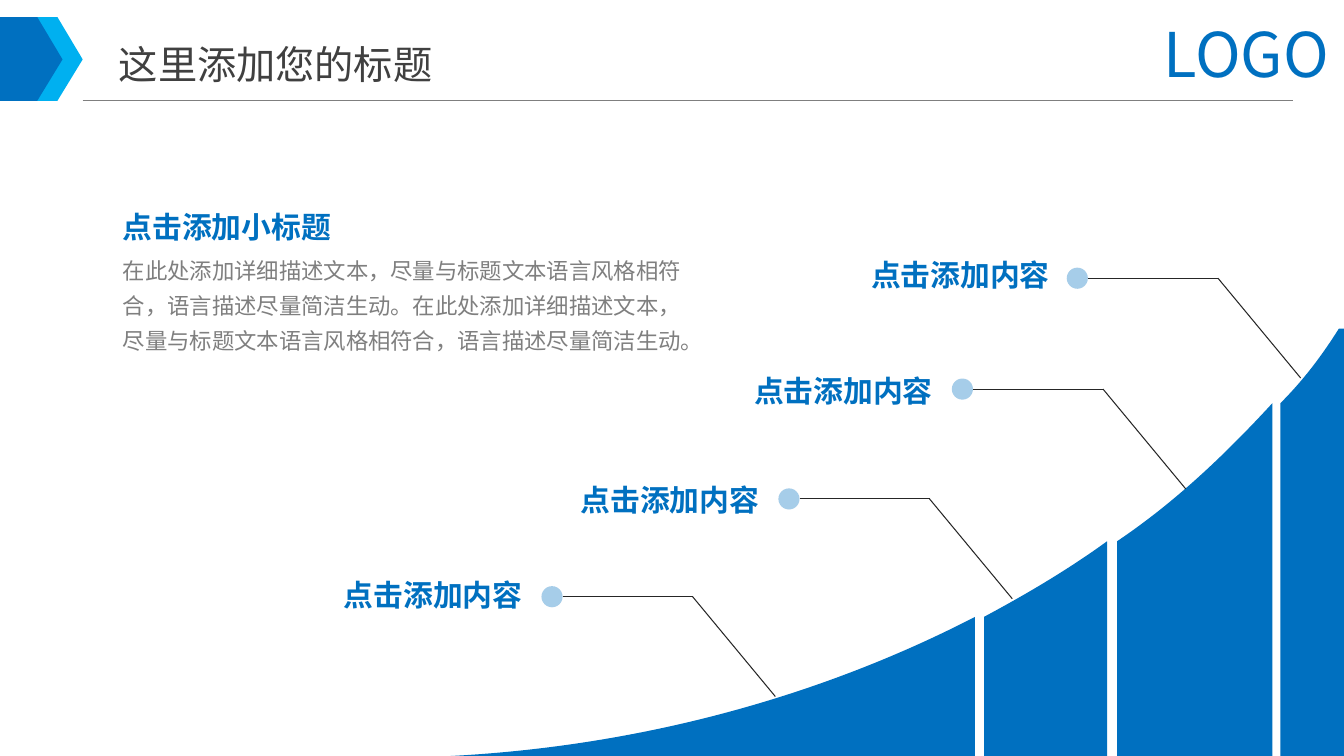
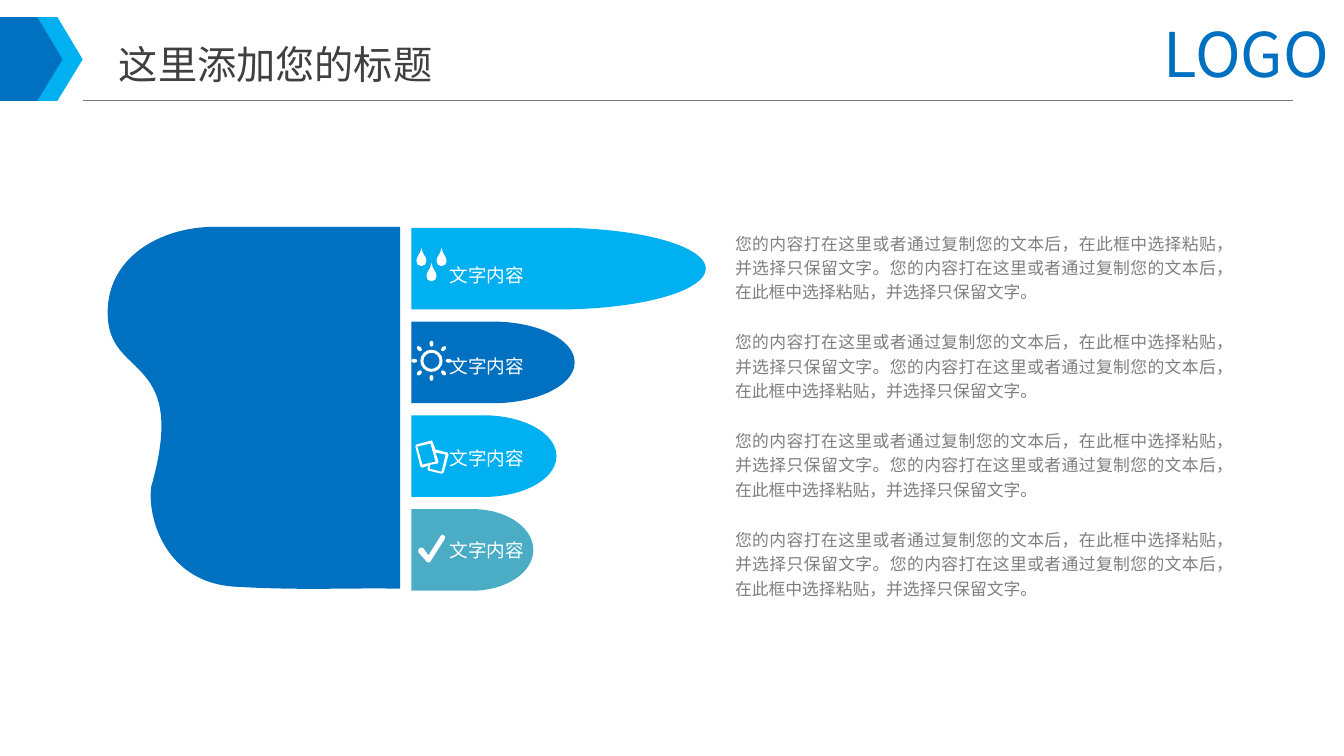
import math

from lxml import etree
from pptx import Presentation
from pptx.dml.color import RGBColor
from pptx.enum.shapes import MSO_CONNECTOR, MSO_SHAPE
from pptx.enum.text import MSO_ANCHOR, MSO_AUTO_SIZE, PP_ALIGN
from pptx.oxml.ns import qn
from pptx.util import Inches, Pt

STRAIGHT = MSO_CONNECTOR.STRAIGHT
OVAL, DELAY = MSO_SHAPE.OVAL, MSO_SHAPE.FLOWCHART_DELAY
TOP, MIDDLE = MSO_ANCHOR.TOP, MSO_ANCHOR.MIDDLE
LEFT, CENTER, JUSTIFY = PP_ALIGN.LEFT, PP_ALIGN.CENTER, PP_ALIGN.JUSTIFY

# Shared style
BLUE, SKY, TEAL, WHITE = "0070C0", "00B0F0", "4BACC6", "FFFFFF"
GRAY, DARK, INK = "7F7F7F", "404040", "262626"
HAN, LOGO, LATIN = "Noto Sans CJK SC", "Noto Sans CJK KR", "Arial"
PAD = (0.1, 0.05)
TITLE = "这里添加您的标题"

# Slide 1: each slope has left, left top, right, right top, two curve handles
SLOPES = [
    (4.47, 7.5, 9.67, 6.12, (8.16, 6.9, 6.38, 7.4)),
    (9.76, 6.12, 10.98, 5.37, (10.61, 5.64, 10.19, 5.89)),
    (11.08, 5.37, 12.62, 4, (12.16, 4.5, 11.66, 4.98)),
    (12.7, 4, 13.28, 3.26, (13.11, 3.53, 12.93, 3.77)),
]
# Each callout has dot left, dot middle, label left, label top
CALLS = [
    (5.37, 5.92, 3.27, 5.67),
    (7.72, 4.95, 5.62, 4.73),
    (9.44, 3.86, 7.34, 3.64),
    (10.58, 2.76, 8.5, 2.49),
]
HEAD = "点击添加小标题"
BODY = "在此处添加详细描述文本，尽量与标题文本语言风格相符合，语言描述尽量简洁生动。" * 2

# Slide 2
PALM = [
    (1.5, 4.83), (1.87, 3.53, 1.11, 3.76, 1.07, 3.16),
    (1.03, 2.56, 1.59, 2.25, 2.13, 2.25), (3.97, 2.25), (3.97, 5.84),
    (3.43, 5.83, 3.01, 5.86, 2.33, 5.82), (1.65, 5.78, 1.46, 5.15, 1.5, 4.83),
]
FINGERS = [(2.92, SKY), (1.62, BLUE), (1.44, SKY), (1.21, TEAL)]
NOTE = "您的内容打在这里或者通过复制您的文本后，在此框中选择粘贴，并选择只保留文字。" * 2
CARDS = [
    [(4.13, 4.41), (4.28, 4.37), (4.29, 4.38), (4.32, 4.46), (4.44, 4.49),
     (4.45, 4.51), (4.4, 4.69), (4.38, 4.7), (4.25, 4.67), (4.24, 4.65),
     (4.25, 4.62), (4.19, 4.64), (4.17, 4.63), (4.12, 4.43)],
    [(4.14, 4.43), (4.27, 4.4), (4.32, 4.58), (4.19, 4.61)],
    [(4.38, 4.68), (4.26, 4.65), (4.27, 4.61), (4.34, 4.6), (4.35, 4.58),
     (4.32, 4.49), (4.42, 4.51)],
]
CHECK = [
    (4.25, 5.58), (4.24, 5.58, 4.23, 5.58, 4.23, 5.57), (4.15, 5.48),
    (4.14, 5.47, 4.15, 5.45, 4.16, 5.44), (4.17, 5.43, 4.19, 5.43, 4.2, 5.44),
    (4.25, 5.51), (4.37, 5.32), (4.37, 5.3, 4.39, 5.3, 4.4, 5.31),
    (4.42, 5.31, 4.42, 5.33, 4.41, 5.35), (4.27, 5.57),
    (4.27, 5.58, 4.26, 5.58, 4.25, 5.58),
]


def rgb(code):
    return RGBColor.from_string(code)


def paint(shape, color):
    shape.shadow.inherit = False
    shape.fill.solid()
    shape.fill.fore_color.rgb = rgb(color)
    shape.line.fill.background()
    return shape


def block(slide, kind, x, y, w, h, color):
    shape = slide.shapes.add_shape(kind, Inches(x), Inches(y), Inches(w), Inches(h))
    return paint(shape, color)


def line(slide, start, end, color):
    rule = slide.shapes.add_connector(STRAIGHT, *map(Inches, start + end))
    rule.line.color.rgb = rgb(color)
    rule.line.width = Pt(0.75)
    etree.SubElement(rule._element.spPr, qn("a:effectLst"))


# Outlines: a step of two numbers is a line, a step of six is a curve
def bend(shape, loops):
    steps = [step for loop in loops for step in loop[1:]]
    lines = list(shape._element.iter(qn("a:lnTo")))
    for old, step in zip(lines, steps):
        if len(step) == 2:
            continue
        curve = etree.Element(qn("a:cubicBezTo"))
        for x, y in zip(step[::2], step[1::2]):
            etree.SubElement(curve, qn("a:pt"), x=str(Inches(x) - shape.left),
                             y=str(Inches(y) - shape.top))
        old.getparent().replace(old, curve)


def outline(slide, loops, color):
    build = None
    for loop in loops:
        points = [(Inches(step[-2]), Inches(step[-1])) for step in loop]
        if build is None:
            build = slide.shapes.build_freeform(*points[0])
        else:
            build.move_to(*points[0])
        build.add_line_segments(points[1:], close=True)
    shape = build.convert_to_shape()
    bend(shape, loops)
    paint(shape, color)


def ring(x, y, wide, high, turn=0):
    def spot(u, v):
        u, v = u * wide, v * high
        return (x + u * math.cos(turn) - v * math.sin(turn),
                y + u * math.sin(turn) + v * math.cos(turn))

    k = 0.55
    steps = [spot(1, 0)]
    for u, v in ((1, 0), (0, 1), (-1, 0), (0, -1)):
        steps.append(spot(u - k * v, v + k * u) + spot(k * u - v, k * v + u)
                     + spot(-v, u))
    return steps


# Text
def style(para, size, color, font=HAN, bold=False, align=LEFT):
    para.alignment = align
    face = para.font
    face.size, face.bold, face.name = Pt(size), bold, font
    face.color.rgb = rgb(color)
    han = LOGO if font == LOGO else HAN
    props = para._p.pPr.find(qn("a:defRPr"))
    etree.SubElement(props, qn("a:ea"), typeface=han)


def frame(shape, pad=PAD, anchor=MIDDLE, wrap=True):
    text = shape.text_frame
    text.word_wrap = wrap
    text.auto_size = MSO_AUTO_SIZE.NONE
    text.vertical_anchor = anchor
    text.margin_left = text.margin_right = Inches(pad[0])
    text.margin_top = text.margin_bottom = Inches(pad[1])
    return text


def label(slide, x, y, w, h, words, size, color, pad=PAD, wrap=True, **look):
    box = slide.shapes.add_textbox(Inches(x), Inches(y), Inches(w), Inches(h))
    para = frame(box, pad, wrap=wrap).paragraphs[0]
    para.text = words
    style(para, size, color, **look)
    return para


# Band shared through the layout
def arrow(slide, neck, tip, color):
    outline(slide, [[(0, 0.17), (neck, 0.17), (tip, 0.59), (neck, 1), (0, 1)]], color)


def brand(slide):
    arrow(slide, 0.57, 0.82, SKY)
    arrow(slide, 0.37, 0.62, BLUE)
    line(slide, (0.82, 1), (12.82, 1), GRAY)
    label(slide, 11.44, 0.1, 1.89, 0.84, "LOGO", 44, BLUE, wrap=False, font=LOGO)
    tree = slide.slide_layout.shapes._spTree
    for number, shape in enumerate(list(slide.shapes)[1:], 50):
        part = shape._element
        next(part.iter(qn("p:cNvPr"))).set("id", str(number))
        tree.append(part)


def page(deck):
    slide = deck.slides.add_slide(deck.slide_layouts[5])
    title = slide.shapes.title
    title.left, title.top = Inches(1.08), Inches(0.35)
    title.width, title.height = Inches(5.38), Inches(0.57)
    title.text = TITLE
    style(frame(title).paragraphs[0], 28, DARK)
    return slide


# Slide 1 parts
def slope(slide, x1, y1, x2, y2, curve):
    edge = 13.33 if x2 > 13 else x2
    side = [(edge, y2)] if edge > x2 else []
    outline(slide, [[(x1, y1), (x1, 7.5), (edge, 7.5), *side, (x2, y2),
                     curve + (x1, y1)]], BLUE)


def callout(slide, x, y, left, top):
    size = 0.21
    dot = block(slide, OVAL, x, y - size / 2, size, size, BLUE)
    tint = dot._element.spPr.find(qn("a:solidFill"))[0]
    etree.SubElement(tint, qn("a:alpha"), val="35000")
    knee = (x + 1.5, y)
    line(slide, (x + size, y), knee, INK)
    line(slide, knee, (x + 2.32, y + 0.99), INK)
    label(slide, left, top, 2.05, 0.46, "点击添加内容", 21.3, BLUE,
          bold=True, align=CENTER)


def intro(slide):
    box = slide.shapes.add_textbox(Inches(1.12), Inches(2.02), Inches(5.86), Inches(1.52))
    text = frame(box, anchor=TOP)
    head = text.paragraphs[0]
    head.text = HEAD
    style(head, 21.3, BLUE, bold=True)
    body = text.add_paragraph()
    body.text = BODY
    body.line_spacing, body.space_before = Pt(25), Pt(3)
    style(body, 16, GRAY)


# Slide 2 parts
def drop(x, y):
    return [(x, y), (x - 0.01, y + 0.07, x - 0.05, y + 0.08, x - 0.05, y + 0.13),
            (x - 0.05, y + 0.16, x - 0.03, y + 0.18, x, y + 0.18),
            (x + 0.03, y + 0.18, x + 0.05, y + 0.16, x + 0.05, y + 0.13),
            (x + 0.05, y + 0.08, x + 0.01, y + 0.07, x, y)]


def sun(x, y):
    loops = [ring(x, y, r, r) for r in (0.11, 0.08)]
    for i in range(8):
        turn = i * math.pi / 4
        loops.append(ring(x + 0.17 * math.cos(turn), y + 0.17 * math.sin(turn),
                          0.03, 0.02, turn))
    return loops


def icons(slide):
    drops = [drop(4.18, 2.46), drop(4.38, 2.46), drop(4.28, 2.61)]
    for loops in (drops, sun(4.28, 3.58), CARDS, [CHECK]):
        outline(slide, loops, WHITE)


def finger(slide, row, width, color):
    block(slide, DELAY, 4.08, 2.26 + 0.93 * row, width, 0.81, color)
    label(slide, 4.46, 2.59 + 0.91 * row, 0.74, 0.27, "文字内容", 13.3, WHITE,
          pad=(0, 0), wrap=False, font=LATIN)
    note = label(slide, 7.29, 2.27 + 0.98 * row, 4.78, 0.73, NOTE, 12, GRAY,
                 pad=(0, 0), font=LATIN, align=JUSTIFY)
    note.line_spacing = Pt(17.4)


def main():
    deck = Presentation()
    deck.slide_width, deck.slide_height = Inches(13.33), Inches(7.5)

    # Growth curve
    slide = page(deck)
    brand(slide)
    for item in SLOPES:
        slope(slide, *item)
    intro(slide)
    for item in CALLS:
        callout(slide, *item)

    # Hand with four fingers
    slide = page(deck)
    outline(slide, [PALM], BLUE)
    for row, (width, color) in enumerate(FINGERS):
        finger(slide, row, width, color)
    icons(slide)

    deck.save("out.pptx")


if __name__ == "__main__":
    main()
